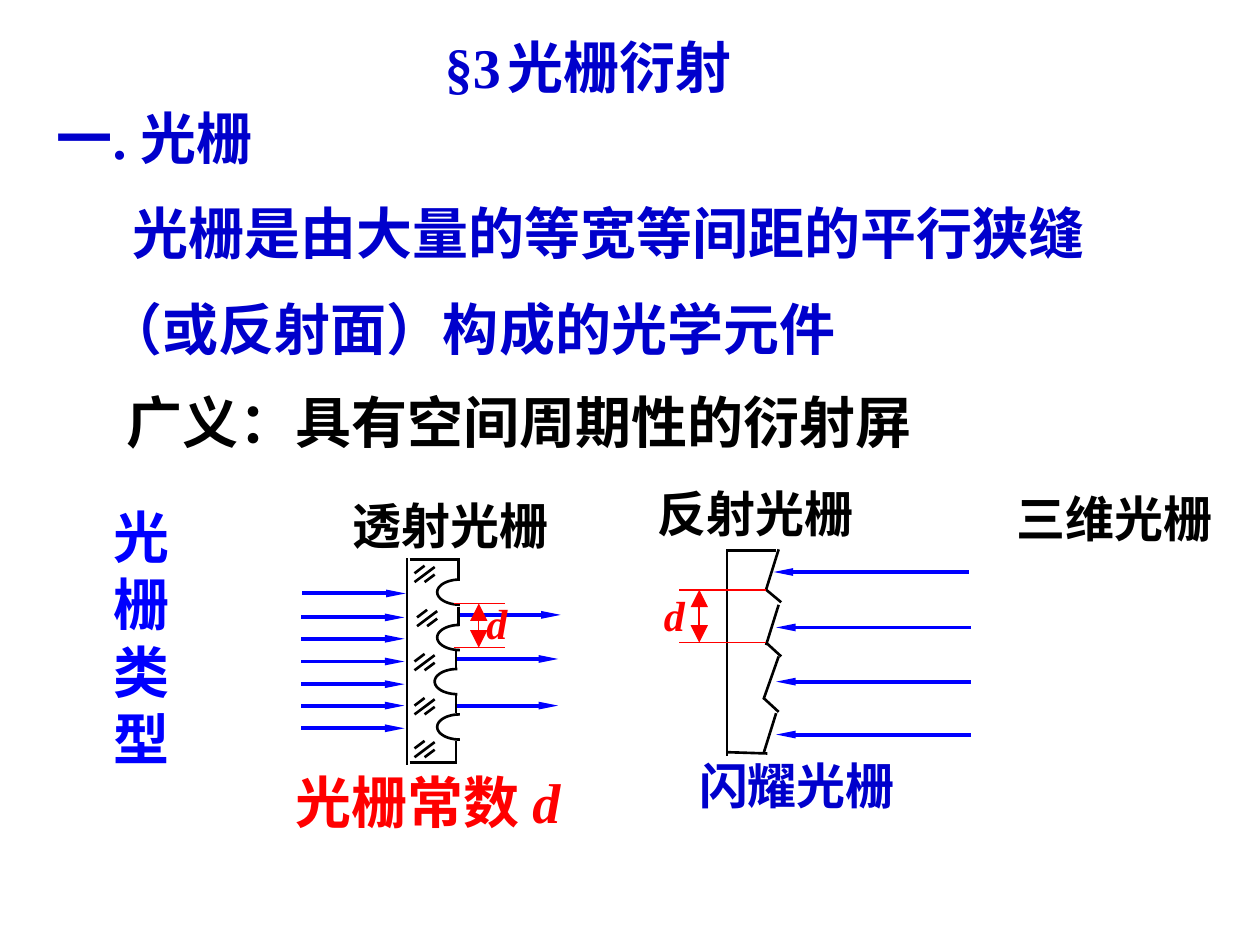
from math import cos, pi, sin
from lxml.etree import SubElement
from pptx import Presentation
from pptx.dml.color import RGBColor
from pptx.enum.shapes import MSO_CONNECTOR as Link
from pptx.enum.text import MSO_ANCHOR as Anchor, MSO_AUTO_SIZE as Auto, PP_ALIGN as Align
from pptx.oxml.ns import qn
from pptx.util import Pt

PX = 9144  # 100 px to the inch
NAVY = RGBColor(0x00, 0x00, 0xCC)
BLUE = RGBColor(0x00, 0x00, 0xFF)
RED = RGBColor(0xFF, 0x00, 0x00)
BLACK = RGBColor(0x00, 0x00, 0x00)
SERIF, SANS = "Times New Roman", "Noto Sans CJK SC"

deck = Presentation()
deck.slide_width, deck.slide_height = 1000 * PX, 750 * PX
slide = deck.slides.add_slide(deck.slide_layouts[5])
shapes = slide.shapes


def write(box, place, lines, color, size=32, pad=(10, 5), align=Align.LEFT,
          face=SERIF, space=None, tab=0, italic=None, wrap=True):
    """Fill a box with (text, first-line indent) pairs."""
    box.left, box.top, box.width, box.height = [v * PX for v in place]
    frame = box.text_frame
    frame.auto_size, frame.word_wrap = Auto.NONE, wrap
    frame.vertical_anchor = Anchor.TOP
    frame.margin_left = frame.margin_right = pad[0] * PX
    frame.margin_top = frame.margin_bottom = pad[1] * PX
    for i, (text, indent) in enumerate(lines):
        para = frame.add_paragraph() if i else frame.paragraphs[0]
        para.text, para.alignment, para.line_spacing = text, align, space
        para.space_before = Pt(20 if i else 0)
        props = para._p.get_or_add_pPr()
        props.set("indent", str(indent * PX))
        if tab:
            tabs = SubElement(props, qn("a:tabLst"))
            SubElement(tabs, qn("a:tab"), pos=str(tab * PX), algn="l")
        font = para.font
        font.size, font.bold, font.italic = Pt(size), True, italic
        font.color.rgb, font.name = color, face
        SubElement(props.find(qn("a:defRPr")), qn("a:ea"), typeface=SANS)
    return frame


def line(x1, y1, x2, y2, color=BLACK, width=1.5, ends=(), wide="sm"):
    """Draw a line with arrowheads at the named ends."""
    link = shapes.add_connector(Link.STRAIGHT, x1 * PX, y1 * PX, x2 * PX, y2 * PX)
    link.line.color.rgb, link.line.width = color, Pt(width)
    for end in ends:
        SubElement(link.line._get_or_add_ln(), qn(f"a:{end}End"),
                   type="triangle", w=wide, len="lg")
    SubElement(link._element.spPr, qn("a:effectLst"))


# Title
write(shapes.title, (343, 21, 339, 64), [("§3\t光栅衍射", 0)], NAVY, tab=75)

# Definition
write(shapes.add_textbox(0, 0, 0, 0), (35, 83, 884, 258),
      [("一. 光栅", 0), ("光栅是由大量的等宽等间距的平行狭缝", 60),
       ("（或反射面）构成的光学元件", 40)], NAVY, space=0.9)
write(shapes.add_textbox(0, 0, 0, 0), (51, 309, 884, 58),
      [("广义：具有空间周期性的衍射屏", 40)], BLACK, space=0.9)

# Type labels
write(shapes.add_textbox(0, 0, 0, 0), (80, 394, 71, 224),
      [("光栅类型", 0)], BLUE, face=SANS)
for text, place in (("透射光栅", (279, 392, 203, 56)),
                    ("反射光栅", (521, 383, 180, 55))):
    write(shapes.add_textbox(0, 0, 0, 0), place, [(text, 0)], BLACK, 28,
          (1, 1), Align.JUSTIFY)
write(shapes.add_textbox(0, 0, 0, 0), (797, 383, 175, 57),
      [("三维光栅", 0)], BLACK, 28, wrap=False)
write(shapes.add_textbox(0, 0, 0, 0), (545, 595, 183, 57),
      [("闪耀光栅", 0)], NAVY, 28)

# Grating constant
frame = write(shapes.add_textbox(0, 0, 0, 0), (190, 604, 299, 64),
              [("光栅常数 ", 0)], RED, align=Align.CENTER)
frame.vertical_anchor = Anchor.MIDDLE
run = frame.paragraphs[0].add_run()
run.text, run.font.italic = "d", True

# Transmission grating: light in and out
for x, y in ((240, 471), (239, 490), (239, 507), (239, 525), (239, 543),
             (239, 560), (239, 578), (363, 488), (361, 523), (361, 560)):
    line(x, y, x + 82, y, BLUE, 2.25, ["tail"])

# Transmission grating: plate outline
for ends in ((325, 444, 363, 444), (325, 605, 363, 605), (323, 443, 323, 607),
             (364, 443, 364, 461), (364, 482, 364, 497), (362, 517, 362, 532),
             (362, 552, 362, 566), (362, 588, 362, 606)):
    line(*ends)

# Transmission grating: round notches
STEPS = 24
for x, y in ((365, 460), (365, 496), (363, 531), (365, 567)):
    turns = [pi * i / STEPS for i in range(STEPS + 1)]
    arc = [((x - 18 * sin(t)) * PX, (y + 10 - 10 * cos(t)) * PX) for t in turns]
    pen = shapes.build_freeform(*arc[0])
    pen.add_line_segments(arc[1:], close=False)
    notch = pen.convert_to_shape()
    notch.shadow.inherit = False
    notch.fill.background()
    notch.line.color.rgb, notch.line.width = BLACK, Pt(1.5)

# Transmission grating: glass hatching
for x, y in ((329, 449), (331, 484), (329, 519), (329, 554), (329, 588)):
    for x1, y1, x2, y2 in ((16, 7, 8, 13), (8, 0, 0, 6), (16, 1, 0, 13)):
        line(x + x1, y + y1, x + x2, y + y2)

# Blazed grating: light
for x, y in ((614, 454), (616, 498), (616, 541), (616, 583)):
    line(x, y, x + 155, y, BLUE, 2.25, ["head"])

# Blazed grating: outline with slanted steps
for ends in ((577, 436, 577, 600), (577, 437, 616, 437), (577, 597, 609, 598),
             (618, 436, 608, 468), (618, 480, 608, 512), (618, 521, 606, 555),
             (616, 566, 606, 598), (608, 468, 620, 478), (608, 510, 620, 521),
             (606, 554, 618, 565)):
    line(*ends)

# Spacing d on both gratings
for left, right, top, low, mid, width, place in (
        (360, 401, 479, 514, 380, 0.75, (385, 473, 55, 57)),
        (539, 608, 468, 510, 555, 1, (526, 467, 49, 41))):
    line(mid, top, mid, low, RED, width, ["head", "tail"], "lg")
    for y in (top, low):
        line(left, y, right, y, RED, 1)
    write(shapes.add_textbox(0, 0, 0, 0), place, [("d", 0)], RED, 24,
          (1, 1), Align.JUSTIFY, italic=True)

deck.save("out.pptx")
